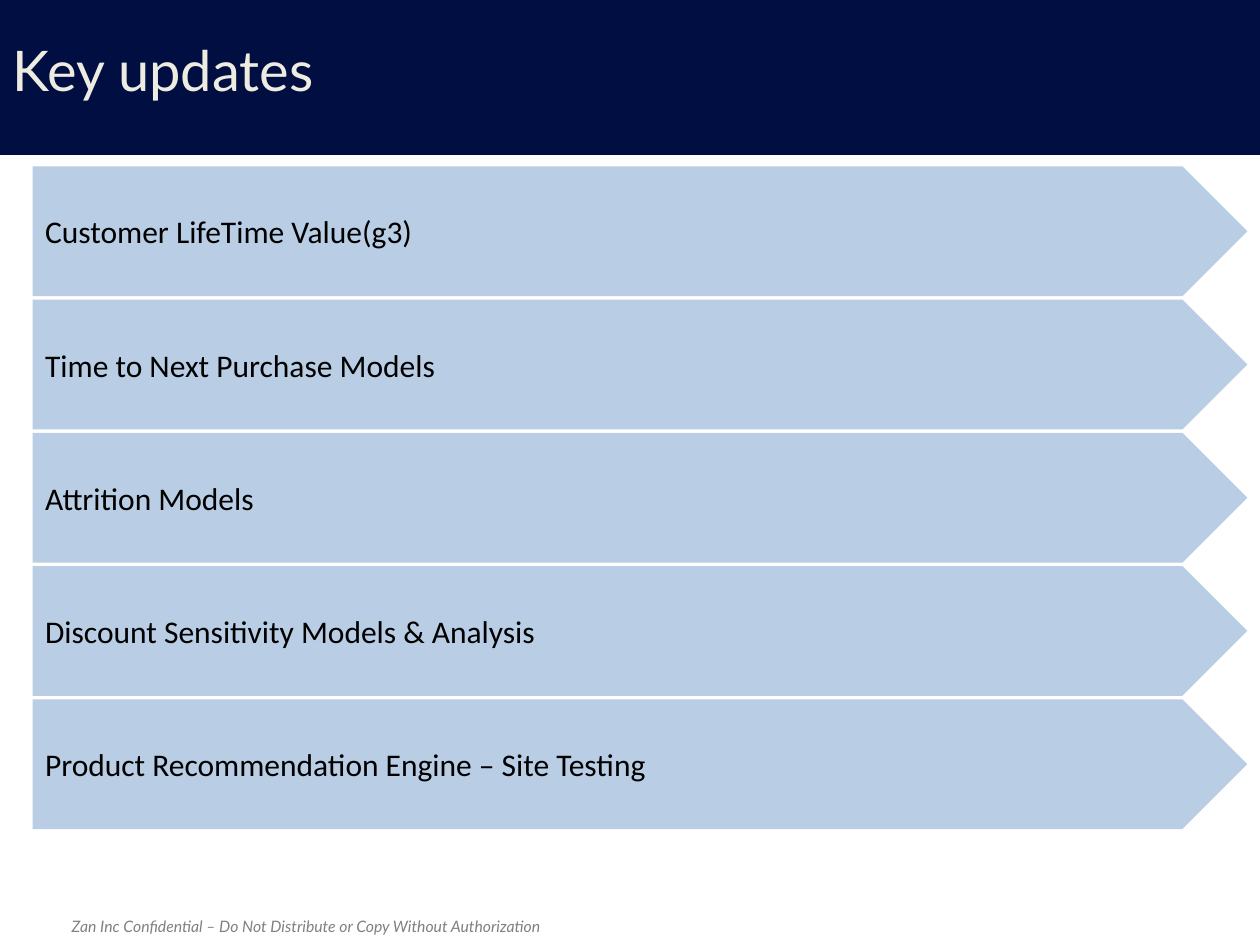
from pptx import Presentation
from pptx.dml.color import RGBColor
from pptx.enum import shapes, text
from pptx.util import Inches, Pt

TITLE = "Key updates"
FOOTER = "Zan Inc Confidential – Do Not Distribute or Copy Without Authorization"
UPDATES = [
    "Customer LifeTime Value(g3)",
    "Time to Next Purchase Models",
    "Attrition Models",
    "Discount Sensitivity Models & Analysis",
    "Product Recommendation Engine – Site Testing",
]
THEME = {
    "band": "000E41", "arrow": "B9CDE5",
    "title": ("Lato", 32, "EEECE1"),
    "update": ("Calibri", 18, "000000"),
    "footer": ("Lato", 9, "808080"),
}
LEFT, WIDTH, HEIGHT = 0.26, 9.64, 1.03
FIRST, LAST = 1.32, 5.55


def place(shape, *box):
    shape.left, shape.top, shape.width, shape.height = map(Inches, box)


def write(shape, words, style, anchor, italic=None):
    frame = shape.text_frame
    frame.text = words
    frame.word_wrap = True
    frame.vertical_anchor = anchor
    para = frame.paragraphs[0]
    para.alignment = text.PP_ALIGN.LEFT
    name, size, color = THEME[style]
    font = para.runs[0].font
    font.name, font.size, font.italic = name, Pt(size), italic
    font.color.rgb = RGBColor.from_string(color)


def block(slide, kind, fill, *box):
    """Add a plain filled shape without line or shadow."""
    shape = slide.shapes.add_shape(kind, *map(Inches, box))
    shape.shadow.inherit = False
    shape.fill.solid()
    shape.fill.fore_color.rgb = RGBColor.from_string(THEME[fill])
    shape.line.fill.background()
    return shape


def main():
    deck = Presentation()
    deck.slide_width, deck.slide_height = Inches(10), Inches(7.5)
    slide = deck.slides.add_slide(deck.slide_layouts.get_by_name("Title Only"))
    kinds = shapes.MSO_SHAPE
    middle = text.MSO_ANCHOR.MIDDLE

    title = slide.shapes.title
    place(title, 0, 0.13, 9.79, 0.83)
    write(title, TITLE, "title", middle)
    band = block(slide, kinds.RECTANGLE, "band", 0, -0.01, 10, 1.24)
    title._element.addprevious(band._element)  # band goes behind the title

    pitch = (LAST - FIRST) / (len(UPDATES) - 1)
    for i, words in enumerate(UPDATES):
        arrow = block(slide, kinds.PENTAGON, "arrow",
                      LEFT, FIRST + i * pitch, WIDTH, HEIGHT)
        write(arrow, words, "update", middle)

    footer = slide.shapes.add_textbox(0, 0, 0, 0)
    place(footer, 0.47, 7.23, 9.32, 0.25)
    write(footer, FOOTER, "footer", text.MSO_ANCHOR.TOP, italic=True)

    deck.save("out.pptx")


if __name__ == "__main__":
    main()
